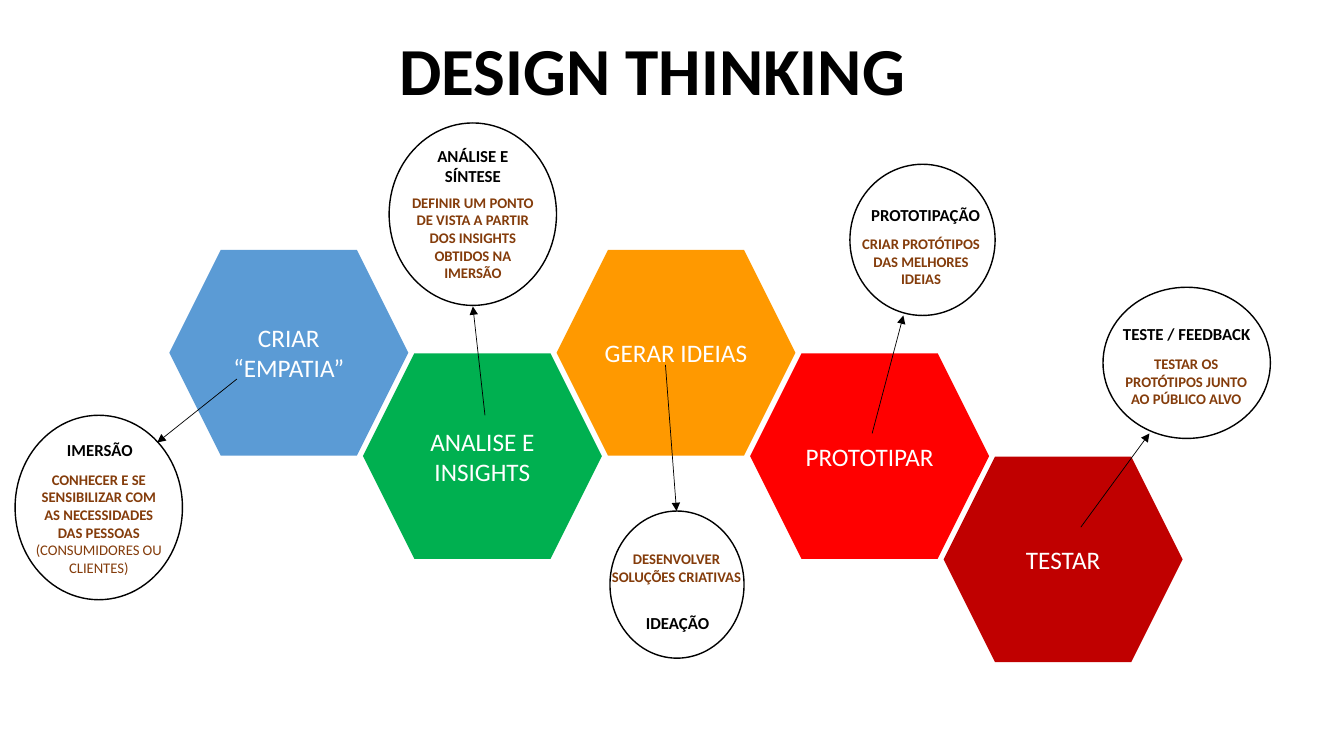
from lxml.etree import SubElement
from pptx import Presentation
from pptx.dml.color import RGBColor
from pptx.enum.shapes import MSO_CONNECTOR, MSO_SHAPE
from pptx.enum.text import MSO_ANCHOR, PP_ALIGN
from pptx.oxml.ns import qn
from pptx.util import Inches, Pt

COLORS = {
    "blue": "5B9BD5", "green": "00B050", "orange": "FF9900", "red": "FF0000",
    "dark red": "C00000", "brown": "843C0B", "black": "000000", "white": "FFFFFF",
}
FONT = "Calibri"
TITLE = "DESIGN THINKING"

# Step name, colour, row of the honeycomb; the column is the step's order
STEPS = [
    ("CRIAR “EMPATIA”", "blue", 0),
    ("ANALISE E INSIGHTS", "green", 1),
    ("GERAR IDEIAS", "orange", 0),
    ("PROTOTIPAR", "red", 1),
    ("TESTAR", "dark red", 2),
]
STEP_LEFT, STEP_TOP = 1.68, 2.48
STEP_WIDTH, STEP_HEIGHT = 2.37, 2.04
COLUMN, ROW = 1.92, 1.025

# Boxes are (left, top, width, height); arrows run from step to bubble
BUBBLES = [
    {"oval": (0.15, 4.12, 1.66, 1.83), "arrow": (2.35, 3.76, 1.56, 4.39),
     "heading": "IMERSÃO", "heading_box": (0.25, 4.31, 1.48, 0.3),
     "details": [("CONHECER E SE SENSIBILIZAR COM AS NECESSIDADES DAS PESSOAS", True),
                 ("(CONSUMIDORES OU CLIENTES)", False)],
     "details_box": (0.24, 4.62, 1.48, 1.16)},
    {"oval": (3.86, 1.22, 1.66, 1.81), "arrow": (4.81, 4.12, 4.69, 3.04),
     "heading": "ANÁLISE E SÍNTESE", "heading_box": (3.95, 1.4, 1.48, 0.5),
     "details": [("DEFINIR UM PONTO DE VISTA A PARTIR DOS INSIGHTS OBTIDOS NA IMERSÃO", True)],
     "details_box": (3.95, 1.87, 1.48, 0.98)},
    {"oval": (6.05, 5.07, 1.33, 1.46), "arrow": (6.6, 3.62, 6.71, 5.07),
     "heading": "IDEAÇÃO", "heading_box": (6.28, 6.03, 0.88, 0.3),
     "details": [("DESENVOLVER SOLUÇÕES CRIATIVAS", True)],
     "details_box": (5.96, 5.41, 1.5, 0.63)},
    {"oval": (8.43, 1.63, 1.44, 1.5), "arrow": (8.65, 4.3, 8.96, 3.13),
     "heading": "PROTOTIPAÇÃO", "heading_box": (8.44, 1.98, 1.48, 0.3),
     "details": [("CRIAR PROTÓTIPOS DAS MELHORES IDEIAS", True)],
     "details_box": (8.36, 2.28, 1.55, 0.63)},
    {"oval": (10.94, 2.85, 1.66, 1.5), "arrow": (10.72, 5.23, 11.4, 4.3),
     "heading": "TESTE / FEEDBACK", "heading_box": (11.03, 3.16, 1.48, 0.3),
     "details": [("TESTAR OS PROTÓTIPOS JUNTO AO PÚBLICO ALVO", True)],
     "details_box": (10.99, 3.47, 1.55, 0.63)},
]


def rgb(name):
    return RGBColor.from_string(COLORS[name])


def inches(*lengths):
    return [Inches(length) for length in lengths]


def write(frame, paragraphs, size, color="black", align=PP_ALIGN.CENTER,
          anchor=MSO_ANCHOR.TOP, wrap=True):
    """Fill a text frame with (text, bold) paragraphs."""
    frame.word_wrap = wrap
    frame.vertical_anchor = anchor
    for index, (text, bold) in enumerate(paragraphs):
        paragraph = frame.add_paragraph() if index else frame.paragraphs[0]
        paragraph.alignment = align
        run = paragraph.add_run()
        run.text = text
        run.font.name = FONT
        run.font.size = Pt(size)
        run.font.bold = bold
        run.font.color.rgb = rgb(color)


def add_step(slide, column, name, color, row):
    hexagon = slide.shapes.add_shape(MSO_SHAPE.HEXAGON, *inches(
        STEP_LEFT + column * COLUMN, STEP_TOP + row * ROW, STEP_WIDTH, STEP_HEIGHT))
    hexagon.shadow.inherit = False
    hexagon.fill.solid()
    hexagon.fill.fore_color.rgb = rgb(color)
    hexagon.line.fill.background()
    write(hexagon.text_frame, [(name, False)], 18, "white", anchor=MSO_ANCHOR.MIDDLE)


def add_label(slide, box, paragraphs, **text_format):
    label = slide.shapes.add_textbox(*inches(*box))
    write(label.text_frame, paragraphs, **text_format)


def add_arrow(slide, ends):
    arrow = slide.shapes.add_connector(MSO_CONNECTOR.STRAIGHT, *inches(*ends))
    arrow.line.color.rgb = rgb("black")
    arrow.line.width = Pt(0.5)
    SubElement(arrow.line._get_or_add_ln(), qn("a:tailEnd"), type="triangle")
    SubElement(arrow._element.spPr, qn("a:effectLst"))


def add_bubble(slide, bubble):
    oval = slide.shapes.add_shape(MSO_SHAPE.OVAL, *inches(*bubble["oval"]))
    oval.shadow.inherit = False
    oval.fill.background()
    oval.line.color.rgb = rgb("black")
    oval.line.width = Pt(1)
    add_label(slide, bubble["heading_box"], [(bubble["heading"], True)], size=12)
    add_label(slide, bubble["details_box"], bubble["details"], size=10.5, color="brown")
    add_arrow(slide, bubble["arrow"])


def main():
    deck = Presentation()
    deck.slide_width, deck.slide_height = inches(13.33, 7.5)
    slide = deck.slides.add_slide(deck.slide_layouts[5])

    title = slide.shapes.title
    title.left, title.top, title.width, title.height = inches(3.86, 0.23, 5.27, 0.91)
    write(title.text_frame, [(TITLE, True)], 48, align=PP_ALIGN.LEFT, wrap=False)

    for column, step in enumerate(STEPS):
        add_step(slide, column, *step)
    for bubble in BUBBLES:
        add_bubble(slide, bubble)
    deck.save("out.pptx")


if __name__ == "__main__":
    main()
